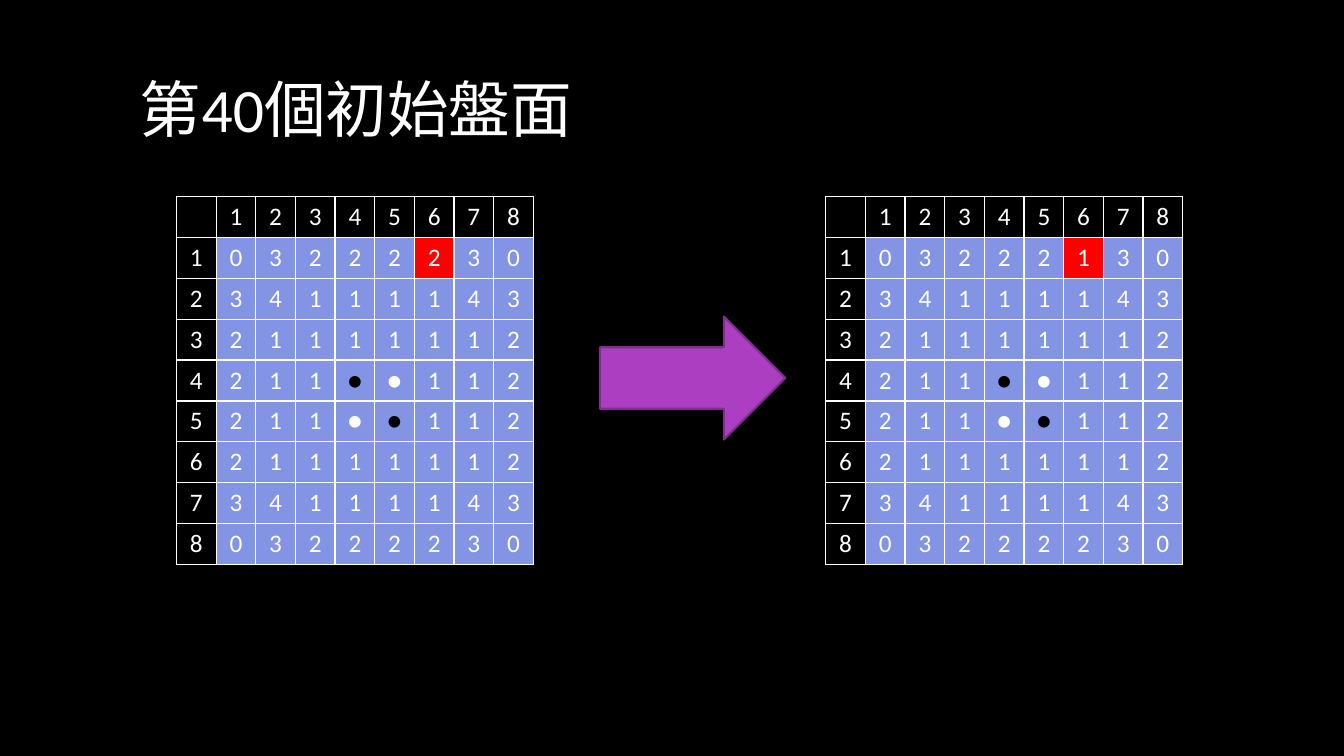
from lxml.etree import SubElement
from pptx import Presentation
from pptx.dml.color import RGBColor
from pptx.enum.shapes import MSO_SHAPE as Shape
from pptx.enum.text import MSO_ANCHOR as Anchor, PP_ALIGN as Align
from pptx.oxml.ns import qn
from pptx.util import Inches, Pt

FONT = "Calibri"
BLACK, WHITE, RED = "000000", "FFFFFF", "FF0000"
BOARD_BLUE = "8394E4"
ARROW_FILL, ARROW_LINE = "AC3EC1", "7F2E8F"

# One string per row; B and W are the black and white discs.
BOARD_BEFORE = [
    "03222230",
    "34111143",
    "21111112",
    "211BW112",
    "211WB112",
    "21111112",
    "34111143",
    "03222230",
]
BOARD_AFTER = ["03222130"] + BOARD_BEFORE[1:]
DISCS = {"B": BLACK, "W": WHITE}
CHANGED_CELL = (1, 6)
BOARD_SIZE = 9  # eight squares and one header


def color(hex_code):
    """Turn a hex string into a colour."""
    return RGBColor.from_string(hex_code)


def set_text(text_frame, text, size=18, text_color=WHITE, align=Align.LEFT):
    """Write one formatted line into a text frame."""
    paragraph = text_frame.paragraphs[0]
    paragraph.alignment = align
    run = paragraph.add_run()
    run.text = text
    run.font.name = FONT
    run.font.size = Pt(size)
    run.font.color.rgb = color(text_color)


def set_borders(cell, line_color=WHITE, width=1):
    """Draw the four edges of a cell; call before filling it."""
    properties = cell._tc.get_or_add_tcPr()
    for edge in ("a:lnL", "a:lnR", "a:lnT", "a:lnB"):
        line = SubElement(properties, qn(edge), w=str(Pt(width)))
        fill = SubElement(line, qn("a:solidFill"))
        SubElement(fill, qn("a:srgbClr"), val=line_color)


def format_cell(cell, symbol, fill_color=None):
    """Give a cell its borders, fill and centred symbol."""
    set_borders(cell)
    if fill_color:
        cell.fill.solid()
        cell.fill.fore_color.rgb = color(fill_color)
    else:
        cell.fill.background()
    if symbol:
        text = "●" if symbol in DISCS else symbol
        set_text(cell.text_frame, text, text_color=DISCS.get(symbol, WHITE),
                 align=Align.CENTER)


def add_board(slide, left, squares):
    """Add a board with numbered rows and columns."""
    width, height = Inches(3.54), Inches(3.54)
    table = slide.shapes.add_table(BOARD_SIZE, BOARD_SIZE, Inches(left),
                                   Inches(1.95), width, height).table
    table.first_row = False
    table.horz_banding = False
    for row in range(BOARD_SIZE):
        for column in range(BOARD_SIZE):
            cell = table.cell(row, column)
            if row and column:
                fill = RED if (row, column) == CHANGED_CELL else BOARD_BLUE
                format_cell(cell, squares[row - 1][column - 1], fill)
            else:
                format_cell(cell, str(row + column) if row + column else "")


def add_arrow(slide, left, top, width, height):
    """Add the arrow that leads from one board to the other."""
    arrow = slide.shapes.add_shape(Shape.RIGHT_ARROW, Inches(left), Inches(top),
                                   Inches(width), Inches(height))
    arrow.shadow.inherit = False
    arrow.fill.solid()
    arrow.fill.fore_color.rgb = color(ARROW_FILL)
    arrow.line.color.rgb = color(ARROW_LINE)
    arrow.line.width = Pt(1.5)


def add_title(slide, text, left, top, width, height):
    """Add the slide heading."""
    box = slide.shapes.add_textbox(Inches(left), Inches(top),
                                   Inches(width), Inches(height))
    box.text_frame.word_wrap = True
    box.text_frame.vertical_anchor = Anchor.MIDDLE
    set_text(box.text_frame, text, size=44)


def main():
    """Build the slide and save it."""
    presentation = Presentation()
    presentation.slide_width = Inches(13.33)
    presentation.slide_height = Inches(7.5)
    slide = presentation.slides.add_slide(presentation.slide_layouts[6])
    slide.background.fill.solid()
    slide.background.fill.fore_color.rgb = color(BLACK)

    add_board(slide, 1.75, BOARD_BEFORE)
    add_board(slide, 8.19, BOARD_AFTER)
    add_arrow(slide, 5.95, 3.14, 1.84, 1.22)
    add_title(slide, "第40個初始盤面", 1.29, 0.65, 10.44, 0.84)
    presentation.save("out.pptx")


main()
